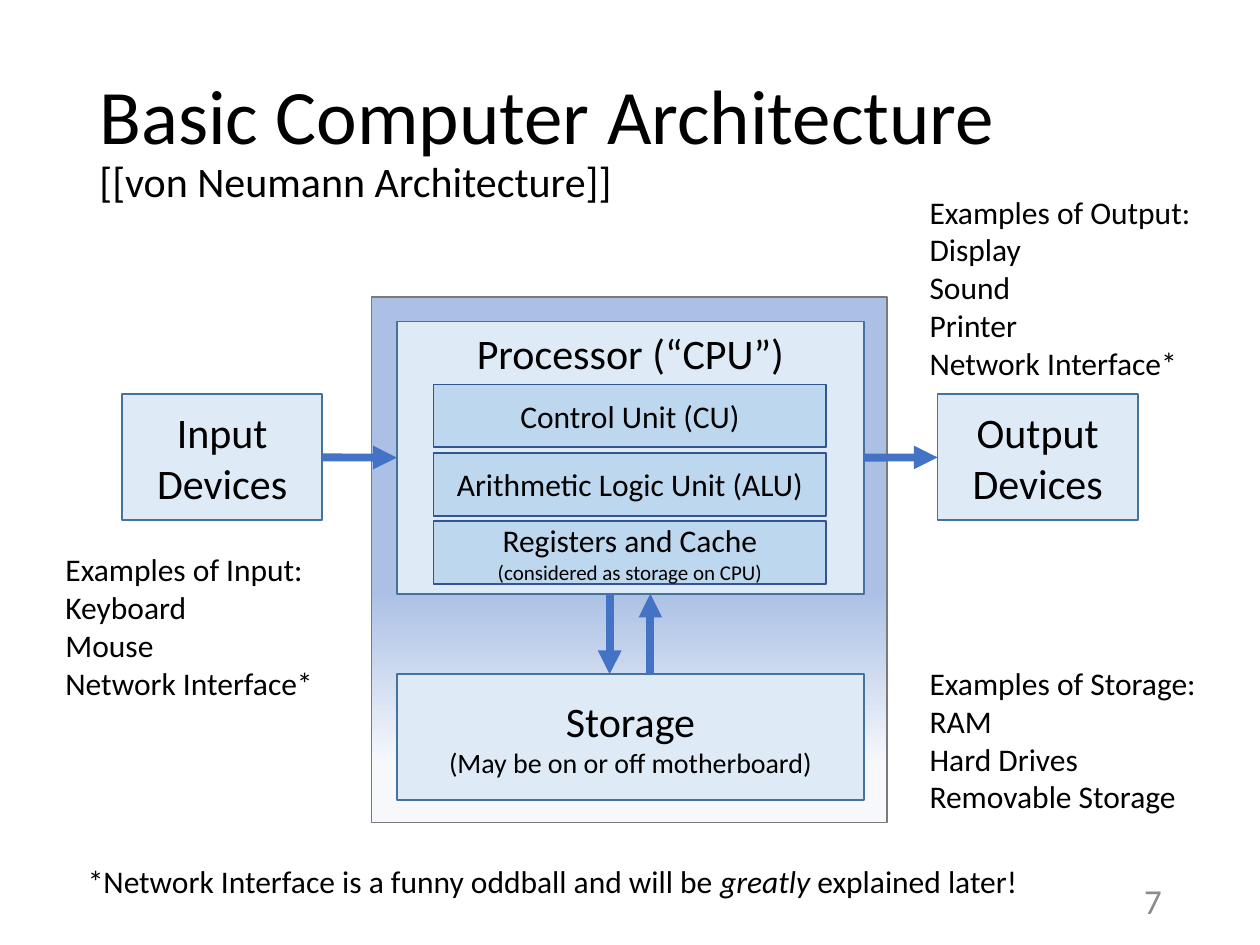
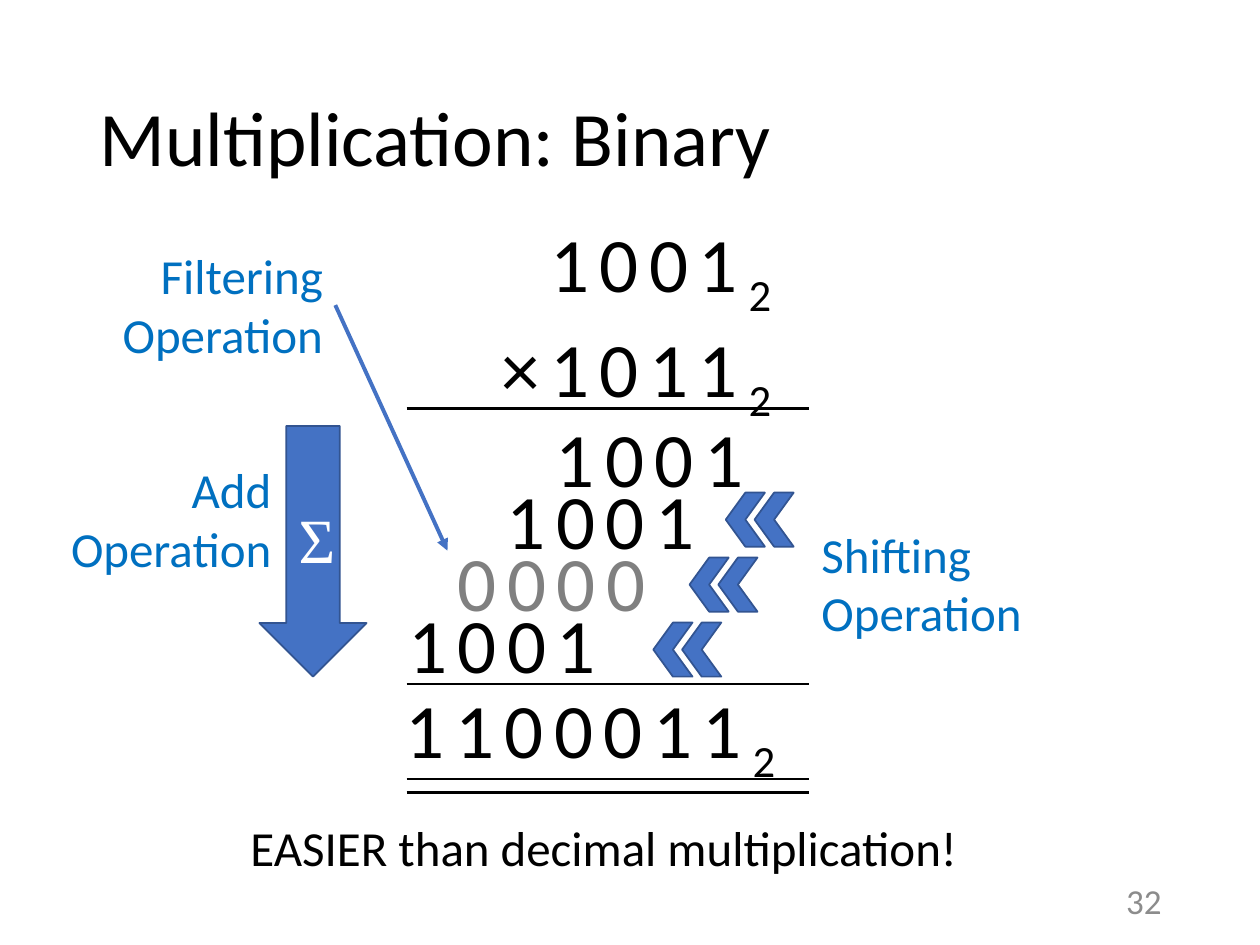
"""Build two lecture slides on computer architecture and binary multiplication."""
import copy
import dataclasses

import lxml.etree
import pptx
import pptx.dml.color
import pptx.enum.shapes
import pptx.enum.text
import pptx.oxml.ns
import pptx.util

Cm = pptx.util.Cm
Pt = pptx.util.Pt
ALIGN = pptx.enum.text.PP_ALIGN
ANCHOR = pptx.enum.text.MSO_ANCHOR
FIT = pptx.enum.text.MSO_AUTO_SIZE
SHAPE = pptx.enum.shapes.MSO_SHAPE
TOP, LEFT, BOTTOM, RIGHT = range(4)


@dataclasses.dataclass(frozen=True)
class Theme:
    """Hold the colours, fonts and type sizes of the deck."""
    face: str = "Calibri"
    symbol_face: str = "Times New Roman"
    ink: str = "000000"
    white: str = "FFFFFF"
    muted: str = "8C8C8C"
    zero: str = "808080"
    label: str = "0070C0"
    accent: str = "4472C4"
    accent_edge: str = "325491"
    block: str = "DEEBF7"
    block_edge: str = "43739E"
    unit: str = "BDD7EE"
    board: str = "ABC0E4"
    board_end: str = "F6F8FC"
    board_edge: str = "7A7A7A"
    title: int = 44
    symbol: int = 36
    callout: int = 28
    heading: int = 24
    number: int = 20
    text: int = 18
    aside: int = 16
    small: int = 12


THEME = Theme()
SUBSCRIPT = {"baseline": "-25000"}
TRACKED = {"spc": "600"}


def rgb(code):
    """Turn a hex code into a colour."""
    return pptx.dml.color.RGBColor.from_string(code)


def apply(target, values):
    """Set every attribute named in a dict of format values."""
    for name, value in values.items():
        setattr(target, name, value)


def add_span(para, text, size, color, face, italic=False, attributes=None):
    """Add text to a paragraph, with a line break at each newline."""
    for index, line in enumerate(text.split("\n")):
        if index:
            para.add_line_break()
        if not line:
            continue
        span = para.add_run()
        span.text = line
        apply(span.font, {"name": face, "size": Pt(size), "italic": italic})
        span.font.color.rgb = rgb(color)
        for name, value in (attributes or {}).items():
            span.font._element.set(name, value)


def write(box, paras, size, color=THEME.ink, face=THEME.face, frame=None, layout=None):
    """Fill a box with paragraphs, each a list of (text, format) spans."""
    apply(box.text_frame, frame or {})
    for index, spans in enumerate(paras):
        para = box.text_frame.add_paragraph() if index else box.text_frame.paragraphs[0]
        apply(para, layout or {})
        for text, changes in spans:
            add_span(para, text, **{"size": size, "color": color, "face": face, **changes})


def add_title(page, spans):
    """Place and fill the title placeholder."""
    title = page.shapes.title
    apply(title, {"left": Cm(1.75), "top": Cm(1.02), "width": Cm(21.89), "height": Cm(3.68)})
    write(title, [spans], THEME.title,
          frame={"vertical_anchor": ANCHOR.MIDDLE, "auto_size": FIT.NONE, "word_wrap": True},
          layout={"alignment": ALIGN.LEFT, "line_spacing": 0.9})


def add_label(page, at, paras, size=THEME.text, color=THEME.ink, align=ALIGN.LEFT):
    """Add a text box that fits its unwrapped text."""
    box = page.shapes.add_textbox(*map(Cm, at))
    write(box, paras, size, color,
          frame={"word_wrap": False, "auto_size": FIT.SHAPE_TO_FIT_TEXT},
          layout={"alignment": align})
    return box


def add_number(page, number):
    """Add the page number at the lower right."""
    box = page.shapes.add_textbox(Cm(21.97), Cm(17.65), Cm(1.7), Cm(1.02))
    write(box, [[(number, {})]], THEME.number, THEME.muted,
          frame={"word_wrap": True, "vertical_anchor": ANCHOR.MIDDLE},
          layout={"alignment": ALIGN.RIGHT})


def add_block(page, at, fill, edge, kind=SHAPE.RECTANGLE):
    """Add an outlined preset shape with a plain fill."""
    block = page.shapes.add_shape(kind, *map(Cm, at))
    block.shadow.inherit = False
    block.fill.solid()
    block.fill.fore_color.rgb = rgb(fill)
    block.line.color.rgb = rgb(edge)
    block.line.width = Pt(1)
    return block


def add_part(page, at, paras, size=THEME.heading, fill=THEME.block, edge=THEME.block_edge,
             anchor=ANCHOR.MIDDLE):
    """Add a labelled part of the computer."""
    part = add_block(page, at, fill, edge)
    write(part, paras, size, frame={"vertical_anchor": anchor, "word_wrap": True},
          layout={"alignment": ALIGN.CENTER})
    return part


def add_board(page):
    """Add the motherboard with its fading fill."""
    board = add_block(page, (7.49, 5.99, 10.39, 10.59), THEME.board, THEME.board_edge)
    board.fill.gradient()
    board.fill.gradient_angle = 270
    last = board.fill._xPr.find(".//" + pptx.oxml.ns.qn("a:gs"))
    last.addnext(copy.deepcopy(last))
    colors = (THEME.board, THEME.board, THEME.board_end)
    for stop, color, position in zip(board.fill.gradient_stops, colors, (0, 0.56, 0.89)):
        stop.color.rgb = rgb(color)
        stop.position = position


def add_line(page, start, end, color=THEME.ink, width=1.5, arrow=False):
    """Add a straight line, with an arrowhead at its end if wanted."""
    line = page.shapes.add_connector(
        pptx.enum.shapes.MSO_CONNECTOR.STRAIGHT, *map(Cm, (*start, *end)))
    line.line.color.rgb = rgb(color)
    line.line.width = Pt(width)
    if arrow:
        lxml.etree.SubElement(line.line._get_or_add_ln(), pptx.oxml.ns.qn("a:tailEnd"),
                              type="triangle")
    lxml.etree.SubElement(line._element.spPr, pptx.oxml.ns.qn("a:effectLst"))
    return line


def add_flow(page, start, end):
    """Add a thick data-flow arrow."""
    return add_line(page, start, end, THEME.accent, 4.5, arrow=True)


def build_architecture(page):
    """Draw the computer architecture diagram."""
    add_board(page)
    add_title(page, [("Basic Computer Architecture\n", {}),
                     ("[[von Neumann Architecture]]", {"size": THEME.heading})])
    processor = add_part(page, (8, 6.48, 9.42, 5.49), [[("Processor (“CPU”)", {})]],
                         anchor=ANCHOR.TOP)
    inputs = add_part(page, (2.46, 7.95, 4.04, 2.54), [[("Input Devices", {})]])
    outputs = add_part(page, (18.9, 7.95, 4.04, 2.54), [[("Output Devices", {})]])
    add_part(page, (8, 13.59, 9.42, 2.54),
             [[("Storage", {})],
              [("(May be on or off motherboard)", {"size": THEME.aside})]])

    for source, target, start, end in ((inputs, processor, 6.5, 8),
                                       (processor, outputs, 17.42, 18.9)):
        flow = add_flow(page, (start, 9.22), (end, 9.22))
        flow.begin_connect(source, RIGHT)
        flow.end_connect(target, LEFT)
    add_flow(page, (12.29, 11.97), (12.29, 13.59))
    add_flow(page, (13.11, 13.59), (13.11, 11.97))

    units = ([("Control Unit (CU)", {})],
             [("Arithmetic Logic Unit (ALU)", {})],
             [("Registers and Cache\n", {}),
              ("(considered as storage on CPU)", {"size": THEME.small})])
    for index, spans in enumerate(units):
        add_part(page, (8.74, 7.75 + 1.38 * index, 7.92, 1.27), [spans], THEME.text,
                 THEME.unit, THEME.accent_edge)

    examples = (
        ((18.49, 13.26, 5.94, 3.33), "Examples of Storage:\nRAM\nHard Drives\nRemovable Storage"),
        ((18.49, 3.76, 5.84, 4.11),
         "Examples of Output:\nDisplay\nSound\nPrinter\nNetwork Interface*"),
        ((1.07, 10.97, 5.56, 3.33), "Examples of Input:\nKeyboard\nMouse\nNetwork Interface*"),
    )
    for at, text in examples:
        add_label(page, at, [[(text, {})]])
    add_label(page, (1.52, 17.25, 19.48, 1.02),
              [[("*Network Interface is a funny oddball and will be ", {}),
                ("greatly", {"italic": True}),
                (" explained later!", {})]])
    add_number(page, "7")


def add_digits(page, at, numbers, color=THEME.ink, base=""):
    """Add widely spaced binary numbers, with their base as a subscript."""
    paras = [[(number, {"attributes": TRACKED}),
              (base, {"attributes": {**TRACKED, **SUBSCRIPT}})] for number in numbers]
    add_label(page, at, paras, THEME.title, color, ALIGN.RIGHT)


def add_shift(page, left, top):
    """Add a pair of chevrons pointing left."""
    for offset in (0, 0.58):
        chevron = add_block(page, (left + offset, top, 0.79, 1.09), THEME.accent,
                            THEME.accent_edge, SHAPE.CHEVRON)
        chevron.rotation = 180


def add_operation(page, left, top, name, align=ALIGN.RIGHT):
    """Add the name of an operation."""
    return add_label(page, (left, top, 4.6, 2.64), [[(name + "\nOperation", {})]],
                     THEME.callout, THEME.label, align)


def build_multiplication(page):
    """Lay out the binary multiplication with its operations."""
    add_title(page, [("Multiplication: Binary", {})])
    add_number(page, "32")
    add_digits(page, (9.6, 4.22, 6.2, 4.01), ["1001", "×1011"], base="2")
    for height in (8.23, 13.79, 15.7, 15.98):
        add_line(page, (8.2, height), (16.31, height))
    add_label(page, (4.8, 16.36, 14.94, 1.45),
              [[("EASIER than decimal multiplication!", {})]], THEME.callout)

    for index, digits in enumerate(("1001", "1001", "0000", "1001")):
        color = THEME.zero if digits == "0000" else THEME.ink
        add_digits(page, (10.69 - 0.99 * index, 8.15 + 1.25 * index, 4.55, 2.13),
                   [digits], color)
    for index in range(3):
        add_shift(page, 14.63 - 0.73 * index, 9.93 + 1.31 * index)
    add_digits(page, (7.65, 13.61, 8.23, 2.13), ["1100011"], base="2")

    add_operation(page, 16.31, 10.44, "Shifting", ALIGN.LEFT)
    total = add_block(page, (5.23, 8.59, 2.16, 5.05), THEME.accent, THEME.accent_edge,
                      SHAPE.DOWN_ARROW)
    write(total, [[("Σ", {})]], THEME.symbol, THEME.white, THEME.symbol_face,
          frame={"vertical_anchor": ANCHOR.MIDDLE}, layout={"alignment": ALIGN.CENTER})
    add_operation(page, 1.12, 9.14, "Add")
    filtering = add_operation(page, 2.16, 4.83, "Filtering")
    pointer = add_line(page, (6.76, 6.15), (9.02, 11.1), THEME.accent, 2.25, arrow=True)
    pointer.begin_connect(filtering, RIGHT)


def main():
    """Build and save the deck."""
    deck = pptx.Presentation()
    apply(deck, {"slide_width": Cm(25.4), "slide_height": Cm(19.05)})
    for build in (build_architecture, build_multiplication):
        build(deck.slides.add_slide(deck.slide_layouts[5]))
    deck.save("out.pptx")


if __name__ == "__main__":
    main()
